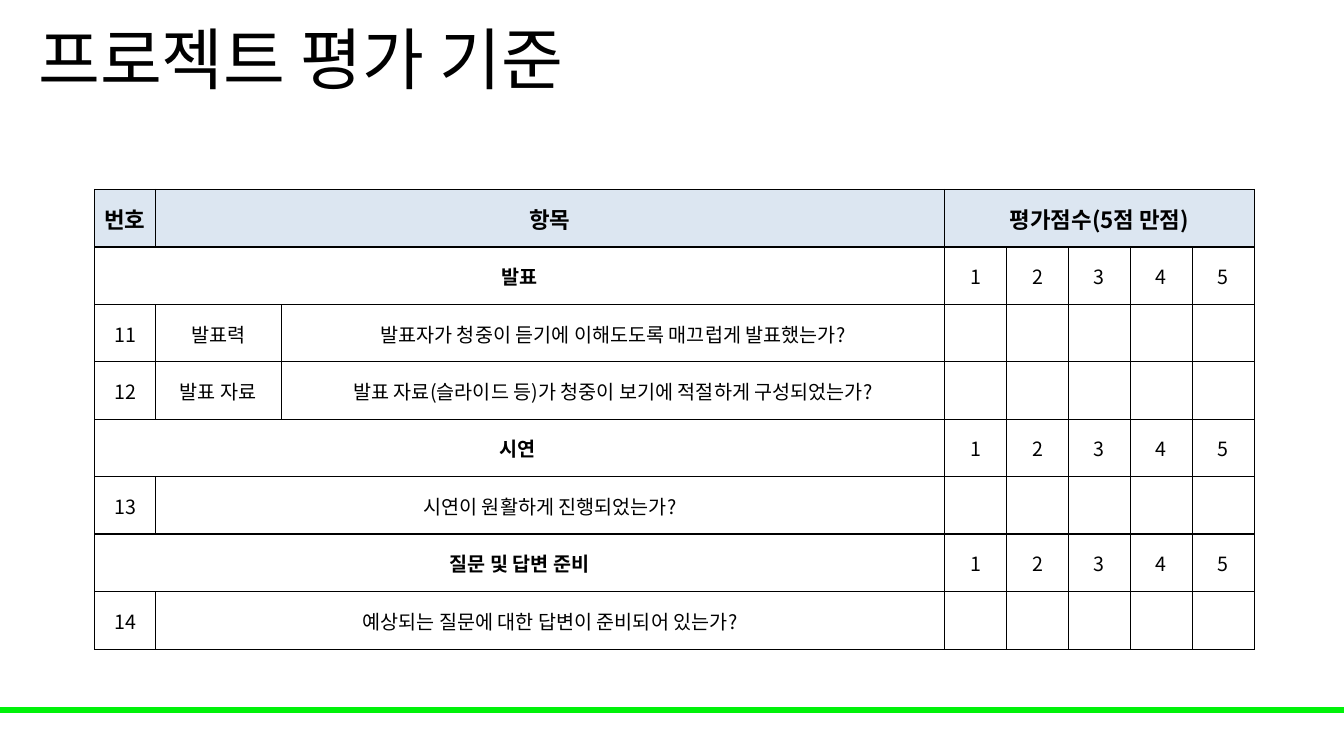
from lxml import etree
from pptx import Presentation
from pptx.dml.color import RGBColor
from pptx.enum.shapes import MSO_SHAPE
from pptx.enum.text import MSO_ANCHOR, PP_ALIGN
from pptx.oxml.ns import qn
from pptx.util import Inches, Pt

RECT = MSO_SHAPE.RECTANGLE
MIDDLE = MSO_ANCHOR.MIDDLE
CENTER, LEFT = PP_ALIGN.CENTER, PP_ALIGN.LEFT

FONT = "Noto Sans CJK KR"
COLORS = {"text": "000000", "head": "DCE6F1", "bar": "00F209"}
WIDE, HIGH = 13.33, 7.5

# Table grid, in inches
GRID_X, GRID_Y, GRID_W, ROW_H = 0.94, 1.88, 11.5, 0.57
LEAD = [0.6, 1.25, 6.58]
SCORES = ["1", "2", "3", "4", "5"]
COLS = LEAD + [(GRID_W - sum(LEAD)) / len(SCORES)] * len(SCORES)
THIN, THICK = 0.5, 1

# Each row maps its first column to (text, columns spanned)
HEAD = {0: ("번호", 1), 1: ("항목", 2), 3: ("평가점수(5점 만점)", 5)}


def section(name):
    marks = {3 + i: (mark, 1) for i, mark in enumerate(SCORES)}
    return {0: (name, 3), **marks}


def item(number, *texts):
    cells = {1 + i: (text, 1) for i, text in enumerate(texts)}
    if len(texts) == 1:
        cells[1] = (texts[0], 2)
    return {0: (number, 1), **cells}


ROWS = [
    HEAD,
    section("발표"),
    item("11", "발표력", "발표자가 청중이 듣기에 이해도도록 매끄럽게 발표했는가?"),
    item("12", "발표 자료",
         "발표 자료(슬라이드 등)가 청중이 보기에 적절하게 구성되었는가?"),
    section("시연 "),
    item("13", "시연이 원활하게 진행되었는가?"),
    section("질문 및 답변 준비"),
    item("14", "예상되는 질문에 대한 답변이 준비되어 있는가?"),
]
# Heavy lines run above the header and each section row
HEAVY = {0, 1, 4, 6}


def color(name):
    return RGBColor.from_string(COLORS[name])


def style(para, size, align, bold=False):
    para.alignment = align
    font = para.font
    font.size, font.bold, font.name = Pt(size), bold, FONT
    font.color.rgb = color("text")
    # East Asian letters need their own typeface
    props = para._p.pPr.find(qn("a:defRPr"))
    etree.SubElement(props, qn("a:ea"), typeface=FONT)


def border(cell, widths):
    props = cell._tc.get_or_add_tcPr()
    for i, (side, width) in enumerate(widths.items()):
        line = etree.Element(qn("a:ln" + side), w=str(Pt(width)))
        fill = etree.SubElement(line, qn("a:solidFill"))
        etree.SubElement(fill, qn("a:srgbClr"), val=COLORS["text"])
        props.insert(i, line)


def add_bar(slide):
    bar = slide.shapes.add_shape(RECT, 0, Inches(7.02), Inches(WIDE), Inches(0.05))
    bar.shadow.inherit = False
    bar.fill.solid()
    bar.fill.fore_color.rgb = color("bar")
    bar.line.color.rgb = color("bar")
    bar.line.width = Pt(1)


def add_title(slide, text):
    title = slide.shapes.title
    title.left, title.top = Inches(0.28), 0
    title.width, title.height = Inches(11.5), Inches(HIGH / 6)
    frame = title.text_frame
    frame.text = text
    frame.word_wrap = True
    frame.vertical_anchor = MIDDLE
    para = frame.paragraphs[0]
    para.line_spacing = 0.9
    style(para, 48, LEFT)


def fill_cell(cell, row, text, bold):
    cell.margin_left = cell.margin_right = cell.margin_top = Inches(0.01)
    cell.margin_bottom = 0
    cell.vertical_anchor = MIDDLE
    if row == 0:
        cell.fill.solid()
        cell.fill.fore_color.rgb = color("head")
    else:
        cell.fill.background()
    cell.text = text
    style(cell.text_frame.paragraphs[0], 14 if row else 16, CENTER, bold)


def add_grid(slide):
    count = len(COLS)
    table = slide.shapes.add_table(
        len(ROWS), count, Inches(GRID_X), Inches(GRID_Y),
        Inches(GRID_W), Inches(ROW_H * len(ROWS))).table
    table.first_row = table.horz_banding = False
    for col, width in zip(table.columns, COLS):
        col.width = Inches(width)
    for r, cells in enumerate(ROWS):
        table.rows[r].height = Inches(ROW_H)
        for c in range(count):
            text, span = cells.get(c, ("", 1))
            cell = table.cell(r, c)
            if span > 1:
                cell.merge(table.cell(r, c + span - 1))
            # Headings and section names are bold
            fill_cell(cell, r, text, r == 0 or span == 3)
            border(cell, {
                "L": THIN if c else THICK,
                "R": THICK if c + span == count else THIN,
                "T": THICK if r in HEAVY else THIN,
                "B": THICK if r + 1 in HEAVY else THIN,
            })


def main():
    deck = Presentation()
    deck.slide_width, deck.slide_height = Inches(WIDE), Inches(HIGH)
    slide = deck.slides.add_slide(deck.slide_layouts[5])
    add_bar(slide)
    add_title(slide, "프로젝트 평가 기준")
    add_grid(slide)
    deck.save("out.pptx")


if __name__ == "__main__":
    main()
